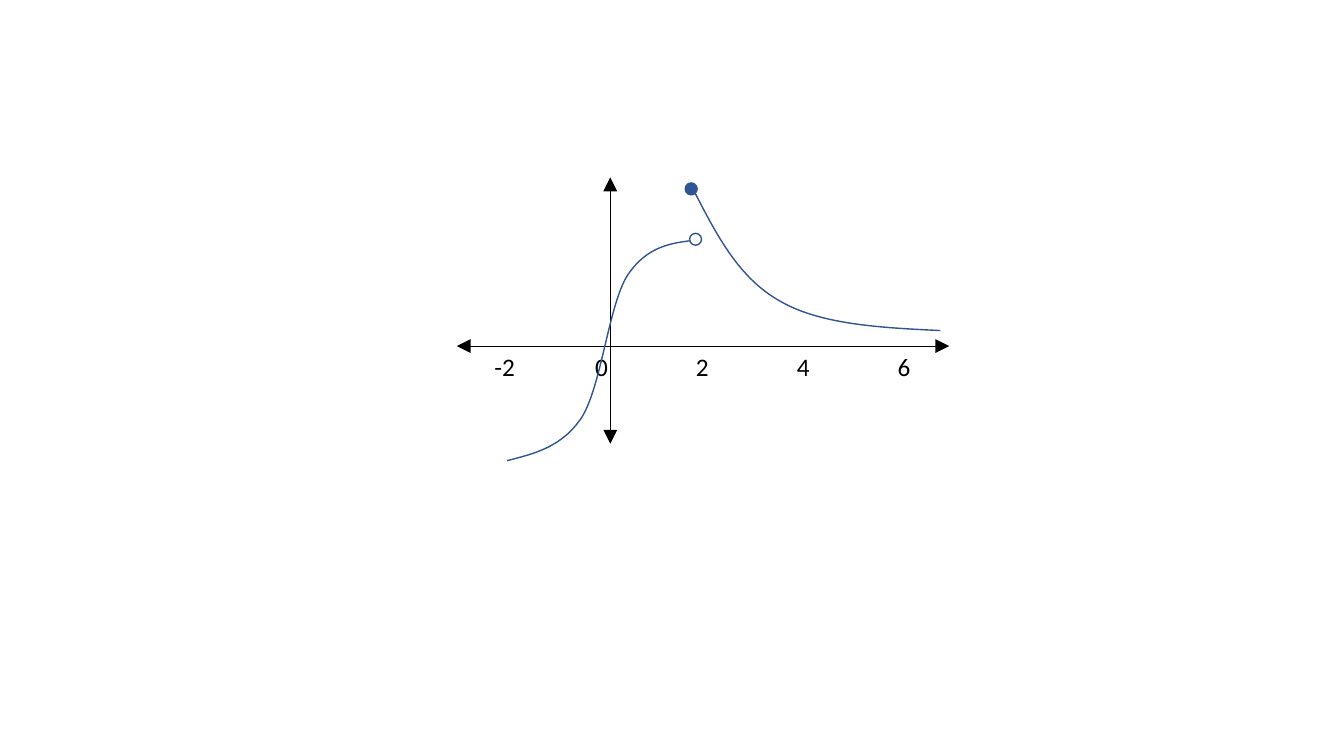
from dataclasses import dataclass

from lxml.etree import SubElement
from pptx import Presentation
from pptx.dml.color import RGBColor
from pptx.enum.shapes import MSO_CONNECTOR as Connector
from pptx.enum.shapes import MSO_SHAPE as Preset
from pptx.enum.text import MSO_AUTO_SIZE as AutoSize
from pptx.oxml.ns import qn
from pptx.slide import Slide
from pptx.util import Cm, Pt

COLORS = {
    "axis": "000000",
    "curve": "325491",
    "closed": "2F5597",
    "open": "FFFFFF",
}
DOT_SIZE = 0.3
TICK_GAP = 2.54

Point = tuple[float, float]


@dataclass(frozen=True)
class Axis:
    start: Point
    end: Point


@dataclass(frozen=True)
class Curve:
    start: Point
    controls: tuple[Point, ...]


@dataclass(frozen=True)
class Dot:
    left: float
    top: float
    fill: str


AXES = (
    Axis((11.51, 8.72), (23.92, 8.72)),
    Axis((15.38, 4.47), (15.38, 11.18)),
)
RIGHT_BRANCH = Curve((17.5, 4.83), (
    (18.06, 5.92), (18.62, 7.01), (19.66, 7.59),
    (20.68, 8.18), (22.2, 8.26), (23.7, 8.33),
))
LEFT_BRANCH = Curve((12.78, 11.61), (
    (13.46, 11.43), (14.15, 11.28), (14.66, 10.52),
    (15.16, 9.73), (15.34, 7.67), (15.82, 6.93),
    (16.31, 6.2), (16.92, 6.12), (17.55, 6.05),
))
CLOSED_DOT = Dot(17.27, 4.61, "closed")
OPEN_DOT = Dot(17.38, 5.88, "open")
TICKS = ("-2", "0", "2", "4", "6")


def color(name: str) -> RGBColor:
    return RGBColor.from_string(COLORS[name])


def add_axis(slide: Slide, axis: Axis) -> None:
    connector = slide.shapes.add_connector(
        Connector.STRAIGHT, *map(Cm, axis.start + axis.end))
    connector.line.color.rgb = color("axis")
    connector.line.width = Pt(0.5)
    properties = connector.element.spPr
    line = properties.find(qn("a:ln"))
    for tag in ("a:headEnd", "a:tailEnd"):
        SubElement(line, qn(tag), type="triangle", w="lg", len="lg")
    SubElement(properties, qn("a:effectLst"))


def add_tick_labels(slide: Slide) -> None:
    box = slide.shapes.add_textbox(Cm(12.21), Cm(8.72), Cm(12.01), Cm(1.02))
    frame = box.text_frame
    frame.word_wrap = True
    frame.auto_size = AutoSize.SHAPE_TO_FIT_TEXT
    paragraph = frame.paragraphs[0]
    tabs = SubElement(paragraph._p.get_or_add_pPr(), qn("a:tabLst"))
    for index in range(1, len(TICKS)):
        SubElement(tabs, qn("a:tab"), pos=str(Cm(index * TICK_GAP)), algn="l")
    run = paragraph.add_run()
    run.text = "\t".join(TICKS)
    run.font.name = "Calibri"
    run.font.size = Pt(18)
    run.font.color.rgb = color("axis")


def add_curve(slide: Slide, curve: Curve) -> None:
    builder = slide.shapes.build_freeform(*map(Cm, curve.start))
    builder.add_line_segments(
        [(Cm(x), Cm(y)) for x, y in curve.controls], close=False)
    shape = builder.convert_to_shape()
    segments = shape.element.xpath(".//a:lnTo")
    for first in range(0, len(segments), 3):
        bezier = SubElement(segments[first].getparent(), qn("a:cubicBezTo"))
        for segment in segments[first:first + 3]:
            bezier.append(segment[0])
            segment.getparent().remove(segment)
    shape.shadow.inherit = False
    shape.fill.background()
    shape.line.color.rgb = color("curve")
    shape.line.width = Pt(1)


def add_dot(slide: Slide, dot: Dot) -> None:
    shape = slide.shapes.add_shape(
        Preset.OVAL, Cm(dot.left), Cm(dot.top), Cm(DOT_SIZE), Cm(DOT_SIZE))
    shape.shadow.inherit = False
    shape.fill.solid()
    shape.fill.fore_color.rgb = color(dot.fill)
    shape.line.color.rgb = color("curve")
    shape.line.width = Pt(1)


def main() -> None:
    presentation = Presentation()
    presentation.slide_width = Cm(33.87)
    presentation.slide_height = Cm(19.05)
    slide = presentation.slides.add_slide(presentation.slide_layouts[6])
    for axis in AXES:
        add_axis(slide, axis)
    add_tick_labels(slide)
    add_dot(slide, CLOSED_DOT)
    add_curve(slide, RIGHT_BRANCH)
    add_curve(slide, LEFT_BRANCH)
    add_dot(slide, OPEN_DOT)
    presentation.save("out.pptx")


if __name__ == "__main__":
    main()
